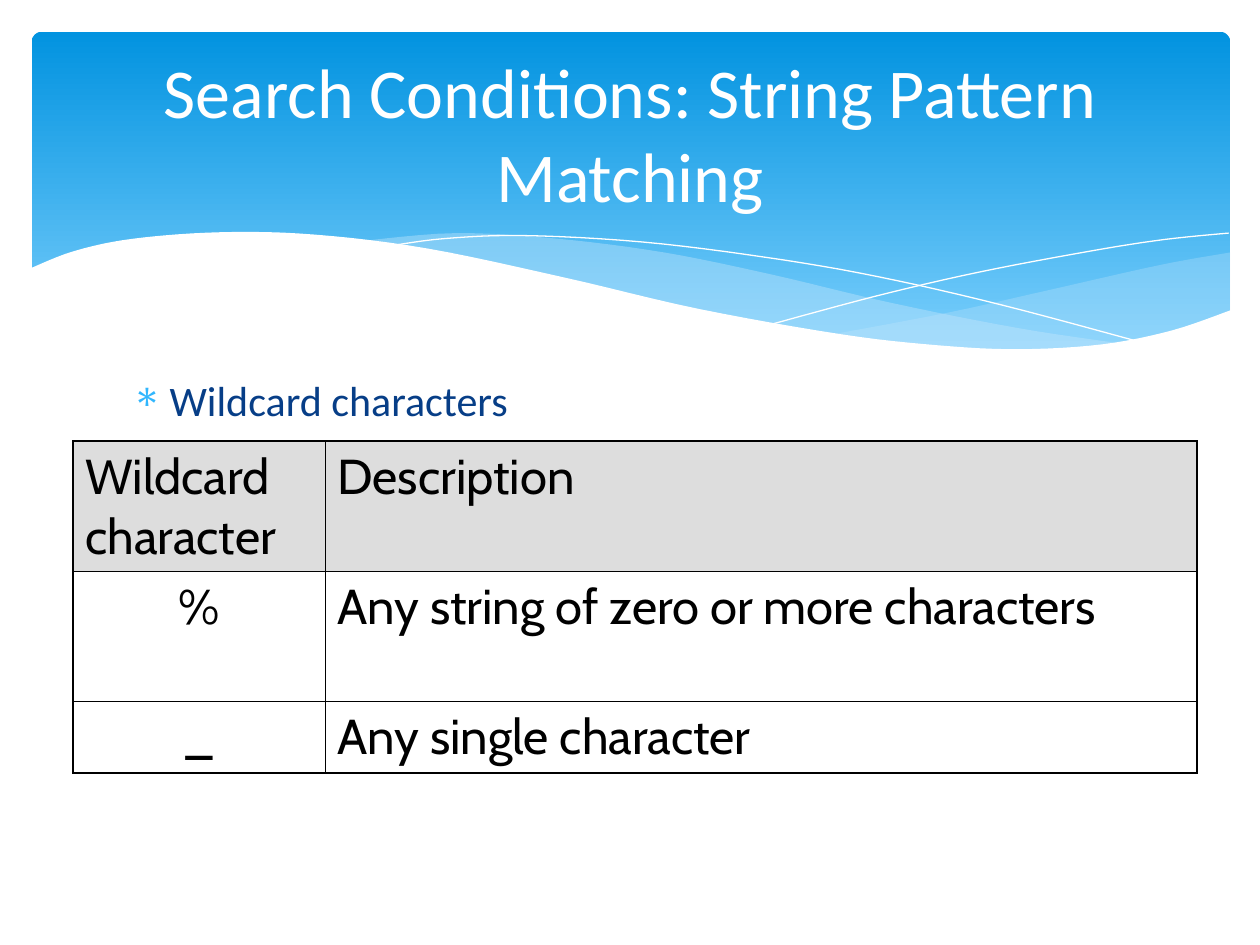
from lxml import etree
from pptx import Presentation
from pptx import util as u
from pptx.dml.color import RGBColor
from pptx.enum import shapes, text
from pptx.oxml import ns

COLORS = {
    "sky_top": "0293E0", "sky_bottom": "83D3FE", "wave": "C6E7FC",
    "white": "FFFFFF", "bullet": "31B6FD", "body": "073E87",
    "ink": "000000", "header": "DDDDDD",
}

RIGHT_WAVE = [
    [(24.16, 4.45), (22.76, 4.7), (20.5, 5.21), (18.49, 5.66), (16.15, 6.1)],
    [(16.15, 6.1), (17.6, 6.3), (19.76, 6.43), (21.74, 6.3), (23.11, 6.02), (24.16, 5.64)],
]
MIDDLE_WAVE = [
    [(22.05, 6.3), (19.86, 5.97), (17.3, 5.46), (14.94, 4.9), (12.75, 4.45),
     (10.57, 4.17), (8.53, 4.06), (6.63, 4.22)],
    [(6.63, 4.22), (8.56, 4.52), (10.77, 5), (13.74, 5.66), (16.26, 6.12),
     (18.36, 6.38), (20.14, 6.45), (22.05, 6.3)],
]
FALLING_LINE = [[(7.21, 4.32), (8.33, 4.17), (9.93, 4.11), (12.32, 4.24), (14.81, 4.55),
                 (17.02, 4.93), (19.56, 5.51), (22.4, 6.27)]]
RISING_LINE = [[(14.94, 5.89), (17.02, 5.33), (19.08, 4.85), (21.36, 4.42),
                (22.83, 4.19), (24.13, 4.06)]]
WHITE_WAVE = [
    [(-0.05, 4.78), (0.86, 4.42), (2.06, 4.17), (3.84, 4.04), (5.72, 4.09), (7.98, 4.37),
     (10.72, 4.95), (13.46, 5.59), (16.33, 6.1), (18.26, 6.32), (19.91, 6.4),
     (21.59, 6.3), (22.99, 6.02), (24.18, 5.61)],
    [(24.18, 7.72), (-0.05, 7.72)],
]
WILDCARDS = [
    ("Wildcard character", "Description"),
    ("%", "Any string of zero or more characters"),
    ("_", "Any single character"),
]


def rgb(name):
    return RGBColor.from_string(COLORS[name])


def smooth_curve(knots, steps=6):
    if len(knots) < 3:
        return knots
    padded = [knots[0], *knots, knots[-1]]
    points = [knots[0]]
    for a, b, c, d in zip(padded, padded[1:], padded[2:], padded[3:]):
        for step in range(1, steps + 1):
            t = step / steps
            points.append(tuple(
                (2 * q + (r - p) * t + (2 * p - 5 * q + 4 * r - s) * t ** 2
                 + (3 * q - p - 3 * r + s) * t ** 3) / 2
                for p, q, r, s in zip(a, b, c, d)))
    return points


def add_wave(slide, left, top, curves, fill=None, opacity=100):
    points = [(u.Cm(left + x), u.Cm(top + y))
              for curve in curves for x, y in smooth_curve(curve)]
    builder = slide.shapes.build_freeform(*points[0])
    builder.add_line_segments(points[1:], close=fill is not None)
    wave = builder.convert_to_shape()
    wave.shadow.inherit = False
    if fill is None:
        wave.fill.background()
        wave.line.color.rgb = rgb("white")
        wave.line.width = u.Pt(0)
        return
    wave.line.fill.background()
    wave.fill.solid()
    wave.fill.fore_color.rgb = rgb(fill)
    if opacity < 100:
        color = wave.fill._xPr.find(".//" + ns.qn("a:srgbClr"))
        etree.SubElement(color, ns.qn("a:alpha"), val=str(opacity * 1000))


def add_banner(slide, left, top, width, height):
    sky = slide.shapes.add_shape(shapes.MSO_SHAPE.ROUNDED_RECTANGLE,
                                 u.Cm(left), u.Cm(top), u.Cm(width), u.Cm(height))
    sky.adjustments[0] = 0.03
    sky.shadow.inherit = False
    sky.line.fill.background()
    sky.fill.gradient()
    sky.fill.gradient_angle = 270
    for stop, name, position in zip(sky.fill.gradient_stops, ("sky_top", "sky_bottom"), (0, 1)):
        stop.color.rgb = rgb(name)
        stop.position = position
    add_wave(slide, left, top, RIGHT_WAVE, "wave", 29)
    add_wave(slide, left, top, MIDDLE_WAVE, "wave", 40)
    add_wave(slide, left, top, FALLING_LINE)
    add_wave(slide, left, top, RISING_LINE)
    add_wave(slide, left, top, WHITE_WAVE, "white")


def style_font(paragraph, name, size, color):
    for run in paragraph.runs:
        run.font.name = name
        run.font.size = u.Pt(size)
        run.font.color.rgb = rgb(color)


def add_text(slide, left, top, width, height, words, size, color):
    frame = slide.shapes.add_textbox(u.Cm(left), u.Cm(top), u.Cm(width), u.Cm(height)).text_frame
    frame.word_wrap = True
    frame.text = words
    style_font(frame.paragraphs[0], "Calibri", size, color)
    return frame


def add_title(slide, left, top, width, height):
    title = add_text(slide, left, top, width, height,
                     "Search Conditions: String Pattern Matching", 40, "white")
    title.vertical_anchor = text.MSO_ANCHOR.MIDDLE
    title.paragraphs[0].alignment = text.PP_ALIGN.CENTER


def add_topic(slide, left, top, width, height):
    topic = add_text(slide, left, top, width, height, "Wildcard characters", 24, "body")
    properties = topic.paragraphs[0]._p.get_or_add_pPr()
    indent = u.Cm(0.76)
    properties.set("marL", str(indent))
    properties.set("indent", str(-indent))
    bullet_color = etree.SubElement(properties, ns.qn("a:buClr"))
    etree.SubElement(bullet_color, ns.qn("a:srgbClr"), val=COLORS["bullet"])
    etree.SubElement(properties, ns.qn("a:buChar"), char="∗")


def set_borders(cell, outer_sides):
    properties = cell._tc.get_or_add_tcPr()
    for side in "LRTB":
        width = u.Pt(1.08 if side in outer_sides else 0.45)
        border = etree.SubElement(properties, ns.qn("a:ln" + side), w=str(width))
        fill = etree.SubElement(border, ns.qn("a:solidFill"))
        etree.SubElement(fill, ns.qn("a:srgbClr"), val=COLORS["ink"])


def add_wildcard_table(slide, left, top, width, height):
    table = slide.shapes.add_table(len(WILDCARDS), 2, u.Cm(left), u.Cm(top),
                                   u.Cm(width), u.Cm(height)).table
    table.first_row = table.horz_banding = False
    symbol_width, last_height = 5.08, 1.45
    table.columns[0].width = u.Cm(symbol_width)
    table.columns[1].width = u.Cm(width - symbol_width)
    last = len(WILDCARDS) - 1
    for r, entry in enumerate(WILDCARDS):
        table.rows[r].height = u.Cm(last_height if r == last else (height - last_height) / last)
        for c, words in enumerate(entry):
            cell = table.cell(r, c)
            cell.text = words
            paragraph = cell.text_frame.paragraphs[0]
            style_font(paragraph, "Cabin", 28, "ink")
            if r and not c:
                paragraph.alignment = text.PP_ALIGN.CENTER
            set_borders(cell, "LR"[c] + ("T" if r == 0 else "B" if r == last else ""))
            if r:
                cell.fill.background()
            else:
                cell.fill.solid()
                cell.fill.fore_color.rgb = rgb("header")


def main():
    deck = Presentation()
    deck.slide_width, deck.slide_height = u.Cm(25.4), u.Cm(19.05)
    slide = deck.slides.add_slide(deck.slide_layouts[6])
    add_banner(slide, 0.64, 0.64, 24.16, 6.86)
    add_topic(slide, 2.41, 7.42, 20.57, 9.58)
    add_title(slide, 1.27, 0.94, 22.86, 3.48)
    add_wildcard_table(slide, 1.47, 8.89, 22.66, 6.69)
    deck.save("out.pptx")


if __name__ == "__main__":
    main()
